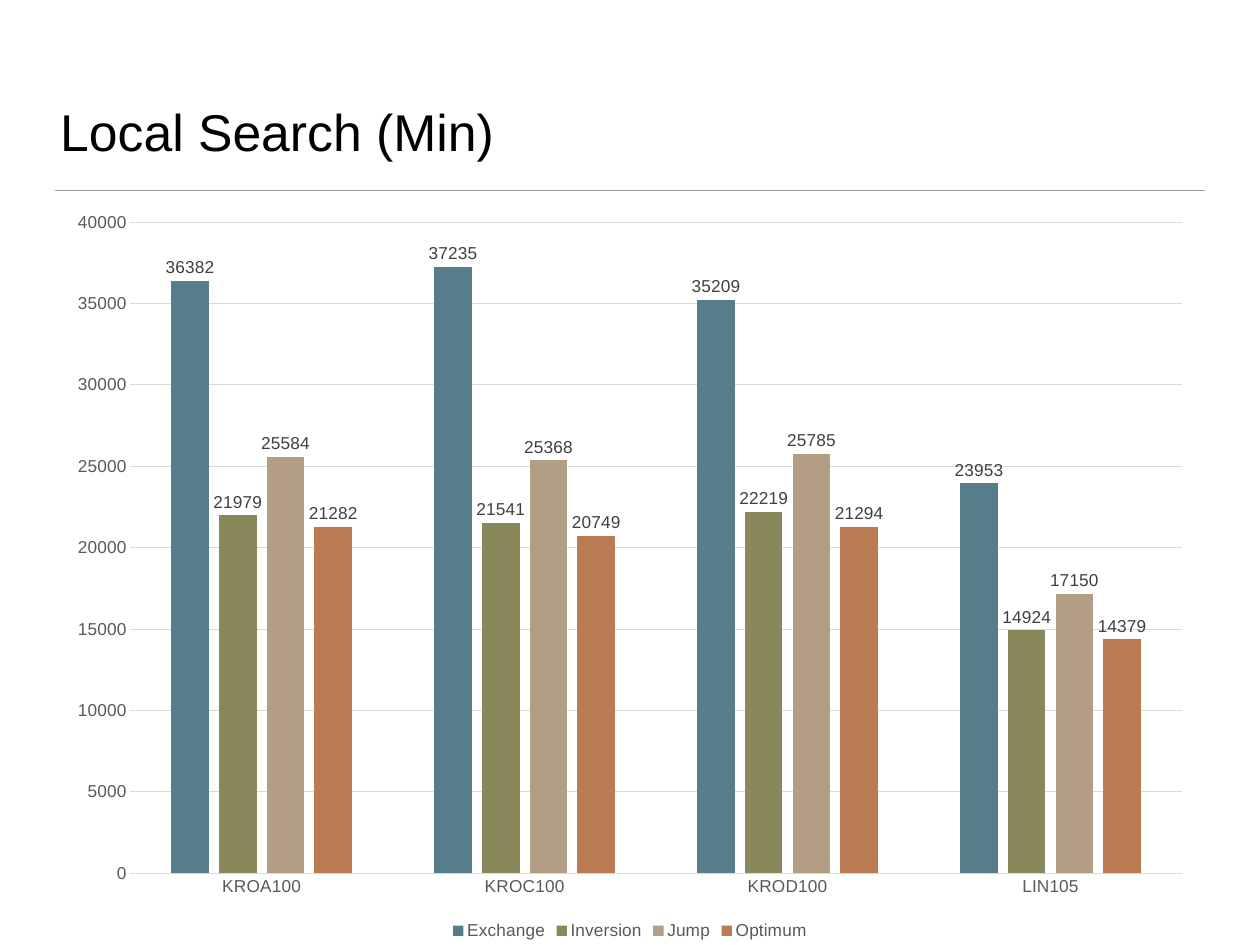
import dataclasses

import pptx
import pptx.chart.data
import pptx.dml.color
import pptx.enum.chart
import pptx.enum.shapes
import pptx.enum.text
import pptx.util
from lxml import etree

WIDTH, HEIGHT = pptx.util.Inches(14.22), pptx.util.Inches(10.67)
LEFT, RIGHT = 0.0436, 0.9564  # margins as shares of the slide's width
FONT = "Arial"
COLORS = {
    "title": "000000",
    "rule": "9A9A9A",
    "grid": "D9D9D9",
    "axis": "595959",
    "label": "404040",
    "exchange": "557E8A",
    "inversion": "88885A",
    "jump": "B29E85",
    "optimum": "BB7B52",
}


@dataclasses.dataclass(frozen=True)
class SearchSeries:
    name: str
    values: tuple[int, ...]
    color: str


PROBLEMS = ("KROA100", "KROC100", "KROD100", "LIN105")
SEARCHES = (
    SearchSeries("Exchange", (36382, 37235, 35209, 23953), "exchange"),
    SearchSeries("Inversion", (21979, 21541, 22219, 14924), "inversion"),
    SearchSeries("Jump", (25584, 25368, 25785, 17150), "jump"),
    SearchSeries("Optimum", (21282, 20749, 21294, 14379), "optimum"),
)


def rgb(name: str) -> pptx.dml.color.RGBColor:
    return pptx.dml.color.RGBColor.from_string(COLORS[name])


def across(share: float) -> int:
    return round(WIDTH * share)


def down(share: float) -> int:
    return round(HEIGHT * share)


def style_font(font, size: float, color: str) -> None:
    font.name = FONT
    font.size = pptx.util.Pt(size)
    font.bold = False
    font.color.rgb = rgb(color)


def style_line(line, color: str, width: float) -> None:
    line.color.rgb = rgb(color)
    line.width = pptx.util.Pt(width)


def add_text(slide, text: str, *, top: float, height: float, size: float, color: str,
             inset: float = 0.06) -> None:
    shape = slide.shapes.add_textbox(
        across(LEFT), down(top), across(RIGHT - LEFT), down(height))
    frame = shape.text_frame
    frame.word_wrap = True
    frame.vertical_anchor = pptx.enum.text.MSO_ANCHOR.BOTTOM
    frame.margin_left = frame.margin_right = pptx.util.Inches(inset)
    frame.margin_top = frame.margin_bottom = pptx.util.Inches(inset)
    run = frame.paragraphs[0].add_run()
    run.text = text
    style_font(run.font, size, color)


def add_rule(slide, top: float) -> None:
    connector = slide.shapes.add_connector(
        pptx.enum.shapes.MSO_CONNECTOR.STRAIGHT,
        across(LEFT), down(top), across(RIGHT), down(top))
    style_line(connector.line, "rule", 1)
    properties = connector._element.spPr
    etree.SubElement(properties, pptx.oxml.ns.qn("a:effectLst"))


def style_axes(chart) -> None:
    for axis in (chart.category_axis, chart.value_axis):
        axis.major_tick_mark = pptx.enum.chart.XL_TICK_MARK.NONE
        axis.minor_tick_mark = pptx.enum.chart.XL_TICK_MARK.NONE
        style_font(axis.tick_labels.font, 14, "axis")
    style_line(chart.category_axis.format.line, "grid", 0.75)
    values = chart.value_axis
    values.minimum_scale, values.maximum_scale, values.major_unit = 0, 40000, 5000
    values.format.line.fill.background()
    values.has_major_gridlines = True
    style_line(values.major_gridlines.format.line, "grid", 0.75)


def style_series(series, search: SearchSeries) -> None:
    series.format.fill.solid()
    series.format.fill.fore_color.rgb = rgb(search.color)
    series.invert_if_negative = False
    labels = series.data_labels
    labels.show_value = True
    labels.position = pptx.enum.chart.XL_LABEL_POSITION.OUTSIDE_END
    style_font(labels.font, 14, "label")


def add_search_chart(slide, top: float, height: float) -> None:
    data = pptx.chart.data.CategoryChartData()
    data.categories = PROBLEMS
    for search in SEARCHES:
        data.add_series(search.name, search.values)
    chart = slide.shapes.add_chart(
        pptx.enum.chart.XL_CHART_TYPE.COLUMN_CLUSTERED,
        across(LEFT), down(top), across(RIGHT - LEFT), down(height), data).chart
    style_font(chart.font, 14, "title")
    chart.has_title = False
    style_axes(chart)

    # Columns
    plot = chart.plots[0]
    plot.gap_width, plot.overlap = 219, -27
    plot.vary_by_categories = False
    for series, search in zip(plot.series, SEARCHES):
        style_series(series, search)

    # Legend
    chart.has_legend = True
    chart.legend.position = pptx.enum.chart.XL_LEGEND_POSITION.BOTTOM
    chart.legend.include_in_layout = False
    style_font(chart.legend.font, 14, "axis")


presentation = pptx.Presentation()
presentation.slide_width, presentation.slide_height = WIDTH, HEIGHT
slide = presentation.slides.add_slide(presentation.slide_layouts[6])

# Heading and the rule below it
add_rule(slide, top=0.2015)
add_text(slide, "Local Search (Min)", top=0.0337, height=0.1434, size=42, color="title")

# Results by problem
add_search_chart(slide, top=0.209, height=0.79)

presentation.save("out.pptx")
